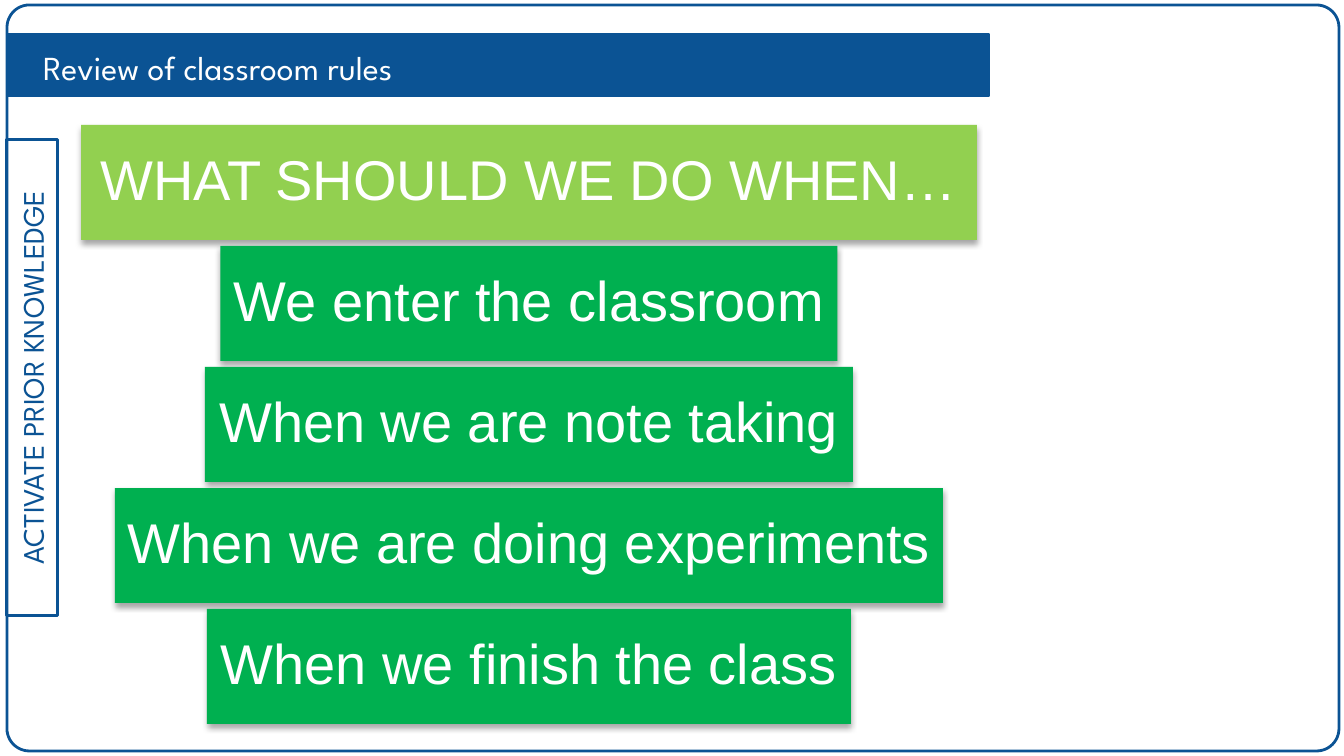
from lxml.etree import SubElement
from pptx import Presentation
from pptx.dml.color import RGBColor
from pptx.enum.shapes import MSO_SHAPE
from pptx.enum.text import MSO_ANCHOR, MSO_AUTO_SIZE, PP_ALIGN
from pptx.oxml.ns import qn
from pptx.util import Pt

EMU_PER_PX = 914400 / 134.4
NAVY, WHITE, LIME, GREEN = "0B5394", "FFFFFF", "92D050", "00B050"
HEADING_FONT = "League Spartan"

QUESTION = ("WHAT SHOULD WE DO WHEN…", 896, LIME)
SITUATIONS = [
    ("We enter the classroom", 617, GREEN),
    ("When we are note taking", 648, GREEN),
    ("When we are doing experiments", 828, GREEN),
    ("When we finish the class", 644, GREEN),
]
STACK_CENTER, STACK_TOP, STACK_PITCH, BAR_HEIGHT = 529, 125, 121, 115


def px(length):
    return round(length * EMU_PER_PX)


def color(hex_code):
    return RGBColor.from_string(hex_code)


def add_box(slide, box, fill=None, line=None, line_width=1.5, kind=MSO_SHAPE.RECTANGLE):
    shape = slide.shapes.add_shape(kind, *map(px, box))
    shape.shadow.inherit = False
    if fill:
        shape.fill.solid()
        shape.fill.fore_color.rgb = color(fill)
    else:
        shape.fill.background()
    if line:
        shape.line.color.rgb = color(line)
        shape.line.width = Pt(line_width)
    else:
        shape.line.fill.background()
    return shape


def write(shape, text, font, size, ink, align=PP_ALIGN.CENTER, inset=13, spacing=1.0):
    frame = shape.text_frame
    frame.text = text
    frame.word_wrap = True
    frame.auto_size = MSO_AUTO_SIZE.NONE
    frame.vertical_anchor = MSO_ANCHOR.MIDDLE
    frame.margin_left = frame.margin_right = px(inset)
    frame.margin_top = frame.margin_bottom = px(inset)
    paragraph = frame.paragraphs[0]
    paragraph.alignment = align
    paragraph.line_spacing = spacing
    paragraph.font.name = font
    paragraph.font.size = Pt(size)
    paragraph.font.color.rgb = color(ink)


def add_soft_shadow(shape):
    effects = shape.element.spPr.find(qn("a:effectLst"))
    shadow = SubElement(effects, qn("a:outerShdw"), blurRad="40000", dist="23000",
                        dir="5400000", rotWithShape="0")
    black = SubElement(shadow, qn("a:srgbClr"), val="000000")
    SubElement(black, qn("a:alpha"), val="35000")


def add_frame(slide):
    frame = add_box(slide, (7, 5, 1332, 746), line=NAVY, kind=MSO_SHAPE.ROUNDED_RECTANGLE)
    frame.adjustments[0] = 0.03


def add_side_tab(slide):
    tab = add_box(slide, (-206, 352, 476, 51), line=NAVY)
    tab.rotation = 270
    write(tab, "ACTIVATE PRIOR KNOWLEDGE", HEADING_FONT, 16, NAVY)


def add_heading(slide):
    add_box(slide, (7, 34, 982, 62), fill=NAVY, line=NAVY, line_width=0.75)
    title = slide.shapes.title
    title.left, title.top, title.width, title.height = map(px, (13, 39, 969, 51))
    write(title, "Review of classroom rules", HEADING_FONT, 18, WHITE,
          align=PP_ALIGN.LEFT, spacing=1.15)
    title.text_frame.margin_left = px(30)
    # The title was created with the slide; bring it in front of its band.
    slide.shapes.element.append(title.element)


def add_rule_stack(slide):
    for row, (text, width, fill) in enumerate([QUESTION, *SITUATIONS]):
        top = STACK_TOP + row * STACK_PITCH
        bar = add_box(slide, (STACK_CENTER - width / 2, top, width, BAR_HEIGHT), fill=fill)
        add_soft_shadow(bar)
        write(bar, text, "Arial", 30, WHITE, inset=11, spacing=0.9)


def main():
    deck = Presentation()
    deck.slide_width, deck.slide_height = px(1344), px(756)
    slide = deck.slides.add_slide(deck.slide_layouts[5])
    add_frame(slide)
    add_side_tab(slide)
    add_heading(slide)
    add_rule_stack(slide)
    deck.save("out.pptx")


if __name__ == "__main__":
    main()
